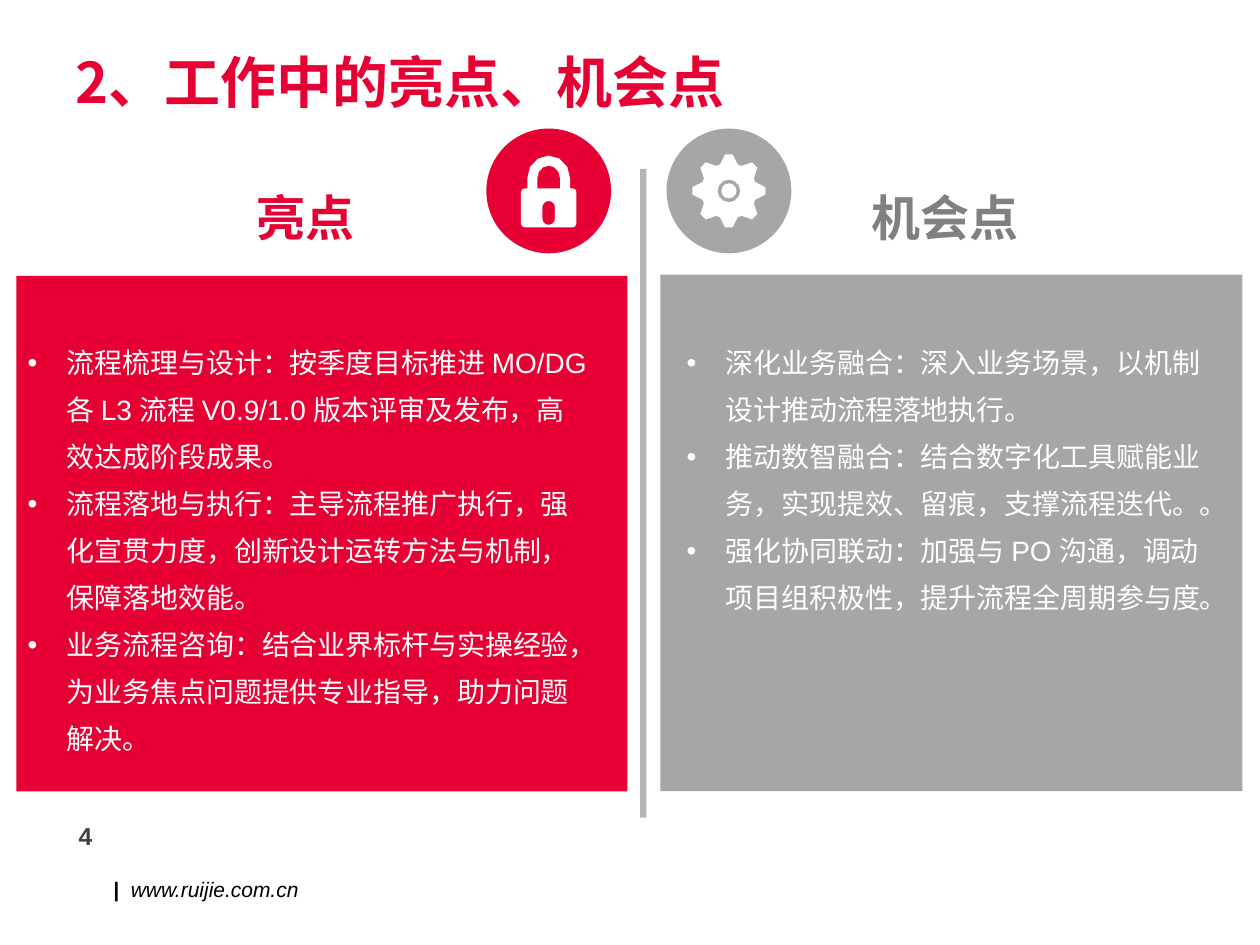
from math import cos, radians, sin

from lxml import etree
from pptx import Presentation
from pptx.dml.color import RGBColor
from pptx.enum.shapes import MSO_SHAPE
from pptx.enum.text import MSO_ANCHOR, PP_ALIGN
from pptx.oxml.ns import qn
from pptx.util import Inches, Pt

RECT, OVAL = MSO_SHAPE.RECTANGLE, MSO_SHAPE.OVAL
TOP, MIDDLE = MSO_ANCHOR.TOP, MSO_ANCHOR.MIDDLE
LEFT, RIGHT = PP_ALIGN.LEFT, PP_ALIGN.RIGHT
LATIN, HAN = "Arial", "Noto Sans CJK SC"
COLORS = {"red": "E60033", "gray": "A6A6A6", "rule": "B5B5B5", "label": "808080",
          "white": "FFFFFF", "dark": "404040", "black": "000000"}
GOOD = [
    "流程梳理与设计：按季度目标推进 MO/DG 各 L3 流程 V0.9/1.0 版本评审及发布，高效达成阶段成果。",
    "流程落地与执行：主导流程推广执行，强化宣贯力度，创新设计运转方法与机制，保障落地效能。",
    "业务流程咨询：结合业界标杆与实操经验，为业务焦点问题提供专业指导，助力问题解决。",
]
CHANCE = [
    "深化业务融合：深入业务场景，以机制设计推动流程落地执行。",
    "推动数智融合：结合数字化工具赋能业务，实现提效、留痕，支撑流程迭代。。",
    "强化协同联动：加强与 PO 沟通，调动项目组积极性，提升流程全周期参与度。",
]


def paint(shape, color):
    """Give a shape a plain fill with no line or shadow."""
    shape.shadow.inherit = False
    shape.fill.solid()
    shape.fill.fore_color.rgb = RGBColor.from_string(COLORS[color])
    shape.line.fill.background()


def block(shapes, kind, box, color):
    """Draw a filled preset shape in a box."""
    paint(shapes.add_shape(kind, *map(Inches, box)), color)


def frame(slide, box, anchor=TOP):
    """Add a wrapping text box and return its text frame."""
    text = slide.shapes.add_textbox(*map(Inches, box)).text_frame
    text.word_wrap = True
    text.vertical_anchor = anchor
    return text


def write(para, text, size, color, face=LATIN, bold=False, italic=False):
    """Add one styled run to a paragraph."""
    run = para.add_run()
    run.text = text
    font = run.font
    font.size, font.name, font.bold, font.italic = Pt(size), face, bold, italic
    font.color.rgb = RGBColor.from_string(COLORS[color])
    etree.SubElement(run._r.get_or_add_rPr(), qn("a:ea"), typeface=HAN)


def label(slide, box, text, size, color, face=HAN, anchor=TOP, align=LEFT):
    """Place one bold line of text."""
    para = frame(slide, box, anchor).paragraphs[0]
    para.alignment = align
    write(para, text, size, color, face, bold=True)


def points(slide, box, items):
    """Place a bulleted list."""
    text = frame(slide, box)
    text.margin_left = text.margin_right = Inches(0.09)
    for i, item in enumerate(items):
        para = text.add_paragraph() if i else text.paragraphs[0]
        props = para._p.get_or_add_pPr()
        props.set("marL", str(Inches(0.31)))
        props.set("indent", str(-Inches(0.31)))
        etree.SubElement(props, qn("a:buFont"), typeface=LATIN)
        etree.SubElement(props, qn("a:buChar"), char="•")
        para.line_spacing = 1.4
        write(para, item, 16, "white")


def arc(x, y, wide, high, start, end, step=30):
    """Return points along an elliptic arc."""
    turns = map(radians, range(start, end + 1, step))
    return [(x + wide * cos(t), y + high * sin(t)) for t in turns]


def outline(shapes, mid, paths):
    """Draw closed white paths around a midpoint."""
    build = None
    for path in paths:
        spots = [(Inches(mid[0] + x), Inches(mid[1] + y)) for x, y in path]
        if build is None:
            build = shapes.build_freeform(*spots[0], scale=1.0)
        else:
            build.move_to(*spots[0])
        build.add_line_segments(spots[1:], close=True)
    paint(build.convert_to_shape(), "white")


def lock(slide, box):
    """Draw a padlock on a red disc."""
    left, top, wide, high = box
    block(slide.shapes, OVAL, box, "red")
    body = arc(0, -0.1, 0.17, 0.18, 180, 360) + [(0.17, -0.02)]
    corners = [(0.19, 0.01), (0.19, 0.26), (-0.19, 0.26), (-0.19, 0.01)]
    for i, (x, y) in enumerate(corners):
        body += arc(x, y, 0.03, 0.03, 90 * i - 90, 90 * i, 45)
    body.append((-0.17, -0.02))
    bow = arc(0, -0.1, 0.09, 0.1, 180, 360) + [(0.09, -0.02), (-0.09, -0.02)]
    key = arc(0, 0.13, 0.05, 0.05, 180, 360) + arc(0, 0.22, 0.05, 0.05, 0, 180)
    outline(slide.shapes, (left + wide / 2, top + high / 2), [body, bow, key])


def gear(slide, box):
    """Draw an eight-toothed gear on a gray disc."""
    left, top, wide, high = box
    block(slide.shapes, OVAL, box, "gray")
    mid = left + wide / 2, top + high / 2
    tooth = [(0.21, -0.07), (0.29, -0.03), (0.29, 0.03), (0.21, 0.07)]
    rim = []
    for i in range(8):
        c, s = cos(radians(45 * i)), sin(radians(45 * i))
        rim += [(x * c - y * s, x * s + y * c) for x, y in tooth]
    group = slide.shapes.add_group_shape().shapes
    outline(group, mid, [rim, arc(0, 0, 0.09, 0.09, 0, 330)])
    block(group, OVAL, (mid[0] - 0.06, mid[1] - 0.06, 0.12, 0.12), "white")


def panel(slide, box, color, head, tint, shift, span, icon, disc, inset, width, items):
    """Build one column: panel, heading, icon and list."""
    left, top, wide, high = box
    block(slide.shapes, RECT, box, color)
    label(slide, (left + shift, 1.44, span, 0.57), head, 28, tint)
    icon(slide, (left + disc, 1.02, 0.99, 0.99))
    points(slide, (left + inset, 2.59, width, top + high - 2.79), items)


def footer(slide, box):
    """Place the page number and web address."""
    left, top, wide, high = box
    label(slide, (left, top, 0.59, 0.26), "4", 14, "dark", LATIN, MIDDLE, RIGHT)
    para = frame(slide, (left + 0.56, top + 0.41, wide - 0.56, high - 0.41)).paragraphs[0]
    write(para, "|  ", 12, "black", bold=True, italic=True)
    write(para, "www.ruijie.com.cn", 12, "black", italic=True)


def main():
    """Build and save the slide."""
    deck = Presentation()
    deck.slide_width, deck.slide_height = Inches(10), Inches(7.5)
    slide = deck.slides.add_slide(deck.slide_layouts[6])
    label(slide, (0.5, 0.3, 9, 0.69), "2、工作中的亮点、机会点", 32, "red", anchor=MIDDLE)
    panel(slide, (0.13, 2.19, 4.85, 4.09), "red", "亮点", "red", 1.81, 1.18,
          lock, 3.73, 0, 4.62, GOOD)
    panel(slide, (5.24, 2.18, 4.62, 4.1), "gray", "机会点", "label", 1.58, 1.73,
          gear, 0.05, 0.12, 4.38, CHANCE)
    block(slide.shapes, RECT, (5.08, 1.34, 0.05, 5.15), "rule")
    footer(slide, (0.24, 6.5, 2.37, 0.71))
    deck.save("out.pptx")


if __name__ == "__main__":
    main()
